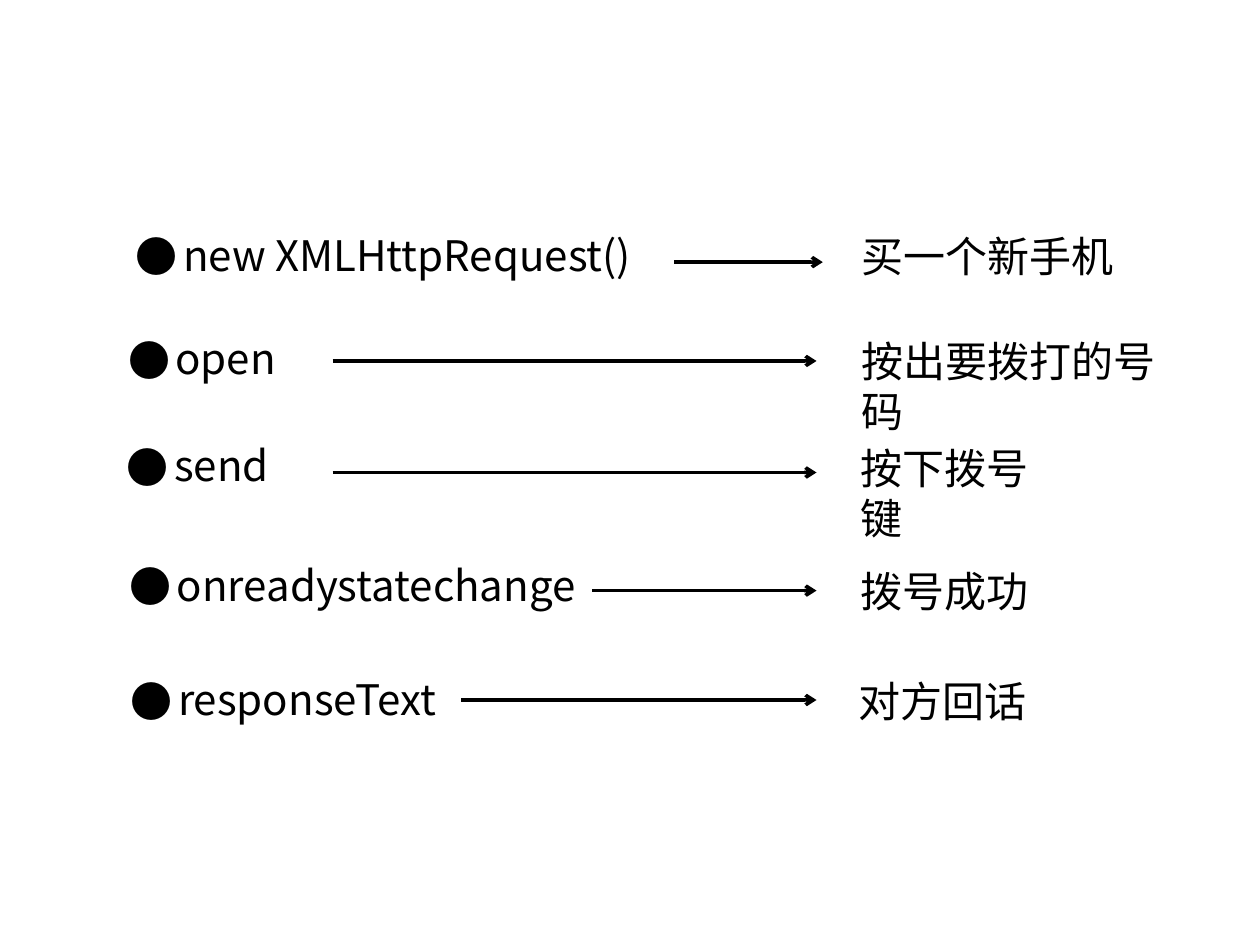
"""Build a slide that pairs XMLHttpRequest members with the steps of a phone call."""
from lxml import etree
from pptx import Presentation
from pptx.dml.color import RGBColor
from pptx.enum import shapes, text
from pptx.oxml.ns import qn
from pptx.util import Pt

FONT, INK = "Noto Sans CJK SC", "000000"
BOX_HEIGHT, INDENT = 36, 27
# member, left, top, width; arrow start, end, y; step, left, top, width
ROWS = [
    (("new XMLHttpRequest()", 70.6, 127.4, 298.8), (385.2, 470.2, 149.8), ("买一个新手机", 485.3, 128.2, 158.4)),
    (("open", 66.2, 186.5, 98.6), (190.1, 466.6, 206.3), ("按出要拨打的号码", 485.3, 187.9, 205.9)),
    (("send", 65.5, 247.7, 95.8), (190.1, 466.6, 270), ("按下拨号键", 484.6, 249.1, 133.9)),
    (("onreadystatechange", 67, 316.1, 273.6), (338.4, 466.6, 337.5), ("拨号成功", 484.6, 319.7, 110.2)),
    (("responseText", 67.7, 381.6, 193.7), (263.5, 466.6, 400), ("对方回话", 483.8, 382.3, 110.2)),
]


def rgb(code):
    return RGBColor.from_string(code)


def add_bullet(paragraph):
    props = paragraph._p.get_or_add_pPr()
    props.set("marL", str(Pt(INDENT)))
    props.set("indent", str(-Pt(INDENT)))
    color = etree.SubElement(props, qn("a:buClr"))
    etree.SubElement(color, qn("a:srgbClr"), val=INK)
    etree.SubElement(props, qn("a:buFont"), typeface=FONT)
    etree.SubElement(props, qn("a:buChar"), char="●")


def add_label(slide, wording, left, top, width, bulleted=False):
    label = slide.shapes.add_textbox(Pt(left), Pt(top), Pt(width), Pt(BOX_HEIGHT))
    frame = label.text_frame
    frame.word_wrap = False
    frame.auto_size = text.MSO_AUTO_SIZE.SHAPE_TO_FIT_TEXT
    frame.text = wording
    paragraph = frame.paragraphs[0]
    if bulleted:
        add_bullet(paragraph)
    run = paragraph.runs[0]
    run.font.size = Pt(24)
    run.font.name = FONT
    run.font.color.rgb = rgb(INK)
    etree.SubElement(run._r.get_or_add_rPr(), qn("a:ea"), typeface=FONT)


def add_arrow(slide, start, end, y):
    arrow = slide.shapes.add_connector(shapes.MSO_CONNECTOR.STRAIGHT, Pt(start), Pt(y), Pt(end), Pt(y))
    arrow.line.color.rgb = rgb(INK)
    arrow.line.width = Pt(2)
    etree.SubElement(arrow.line._get_or_add_ln(), qn("a:tailEnd"), type="arrow")
    etree.SubElement(arrow._element.spPr, qn("a:effectLst"))


def main():
    deck = Presentation()
    deck.slide_width, deck.slide_height = Pt(720), Pt(540)
    slide = deck.slides.add_slide(deck.slide_layouts[6])
    for member, arrow, step in ROWS:
        add_label(slide, *member, bulleted=True)
        add_arrow(slide, *arrow)
        add_label(slide, *step)
    deck.save("out.pptx")


if __name__ == "__main__":
    main()
